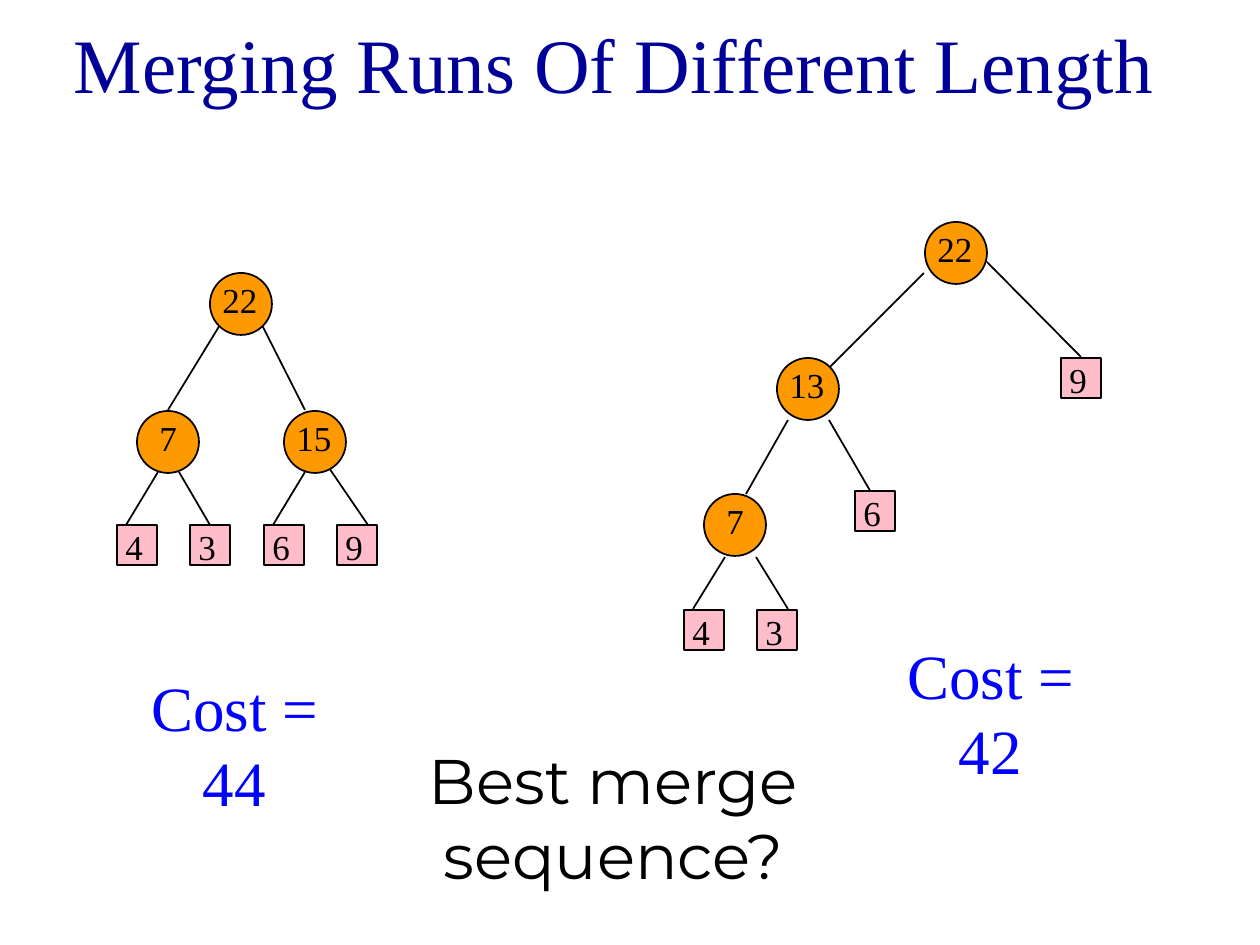
from dataclasses import dataclass

from lxml.etree import SubElement
from pptx import Presentation
from pptx.dml.color import RGBColor
from pptx.enum.shapes import MSO_CONNECTOR, MSO_SHAPE
from pptx.enum.text import MSO_ANCHOR, PP_ALIGN
from pptx.oxml.ns import qn
from pptx.util import Emu, Pt

EMU_PER_PX = 914400 / 126
CIRCLE_SIZE = 62
SQUARE_SIZE = 40
LABEL_HEIGHT = 54


@dataclass(frozen=True)
class Theme:
    serif: str = "Times New Roman"
    sans: str = "Montserrat"
    title: str = "000099"
    cost: str = "0000FF"
    ink: str = "000000"
    merged: str = "FF9900"
    leaf: str = "FFBDCA"
    title_size: int = 44
    large_size: int = 36
    label_size: int = 20
    line_width: int = 1


THEME = Theme()

# Merged runs and initial runs: (value, left, top). Edges: (x1, y1, x2, y2).
BALANCED_TREE = {
    "merged": [("22", 210, 273), ("7", 137, 411), ("15", 284, 411)],
    "leaves": [("4", 117, 525), ("3", 190, 525), ("6", 264, 525), ("9", 337, 525)],
    "edges": [
        (220, 325, 168, 410), (262, 325, 305, 410),
        (158, 472, 126, 525), (179, 472, 210, 525),
        (305, 472, 273, 525), (325, 462, 368, 525),
    ],
}
SKEWED_TREE = {
    "merged": [("22", 925, 222), ("13", 777, 358), ("7", 704, 494)],
    "leaves": [("4", 684, 610), ("3", 757, 610), ("6", 855, 491), ("9", 1061, 358)],
    "edges": [
        (924, 273, 829, 368), (987, 262, 1081, 357),
        (788, 420, 746, 494), (829, 420, 872, 494),
        (725, 557, 693, 609), (756, 557, 788, 609),
    ],
}


def px(*lengths):
    return [Emu(round(length * EMU_PER_PX)) for length in lengths]


def add_text(page, text, left, top, width, height, *, size, color=THEME.ink,
             font=THEME.serif, align=PP_ALIGN.LEFT, anchor=MSO_ANCHOR.TOP, wrap=False):
    box = page.shapes.add_textbox(*px(left, top, width, height))
    frame = box.text_frame
    frame.word_wrap = wrap
    frame.vertical_anchor = anchor
    para = frame.paragraphs[0]
    para.alignment = align
    span = para.add_run()
    span.text = text
    span.font.name = font
    span.font.size = Pt(size)
    span.font.color.rgb = RGBColor.from_string(color)


def style_line(line):
    line.color.rgb = RGBColor.from_string(THEME.ink)
    line.width = Pt(THEME.line_width)


def add_edge(page, x1, y1, x2, y2):
    edge = page.shapes.add_connector(MSO_CONNECTOR.STRAIGHT, *px(x1, y1, x2, y2))
    style_line(edge.line)
    SubElement(edge._element.spPr, qn("a:effectLst"))


def add_node(page, kind, left, top, size, color):
    node = page.shapes.add_shape(kind, *px(left, top, size, size))
    node.shadow.inherit = False
    node.fill.solid()
    node.fill.fore_color.rgb = RGBColor.from_string(color)
    style_line(node.line)


def add_merged_run(page, value, left, top):
    add_node(page, MSO_SHAPE.OVAL, left, top, CIRCLE_SIZE, THEME.merged)
    shift, width = (10, 42) if len(value) == 1 else (0, 73)
    add_text(page, value, left + shift, top - 1, width, LABEL_HEIGHT,
             size=THEME.label_size)


def add_leaf(page, value, left, top):
    add_node(page, MSO_SHAPE.RECTANGLE, left, top, SQUARE_SIZE, THEME.leaf)
    add_text(page, value, left - 4, top - 6, 43, LABEL_HEIGHT, size=THEME.label_size)


def add_tree(page, tree):
    """Draw the edges first, so that the nodes cover their ends."""
    for edge in tree["edges"]:
        add_edge(page, *edge)
    for run in tree["merged"]:
        add_merged_run(page, *run)
    for run in tree["leaves"]:
        add_leaf(page, *run)


def add_cost(page, text, left, top):
    add_text(page, text, left, top, 237, 78, size=THEME.large_size,
             color=THEME.cost, align=PP_ALIGN.CENTER)


def main():
    deck = Presentation()
    deck.slide_width, deck.slide_height = px(1260, 945)
    page = deck.slides.add_slide(deck.slide_layouts[6])

    add_text(page, "Merging Runs Of Different Length", 0, 0, 1228, 126,
             size=THEME.title_size, color=THEME.title, align=PP_ALIGN.CENTER,
             anchor=MSO_ANCHOR.MIDDLE, wrap=True)
    add_tree(page, BALANCED_TREE)
    add_tree(page, SKEWED_TREE)
    add_cost(page, "Cost = 44", 116, 662)
    add_cost(page, "Cost = 42", 872, 630)
    add_text(page, "Best merge sequence?", 262, 735, 703, 179,
             size=THEME.large_size, font=THEME.sans, align=PP_ALIGN.CENTER)

    deck.save("out.pptx")


if __name__ == "__main__":
    main()
